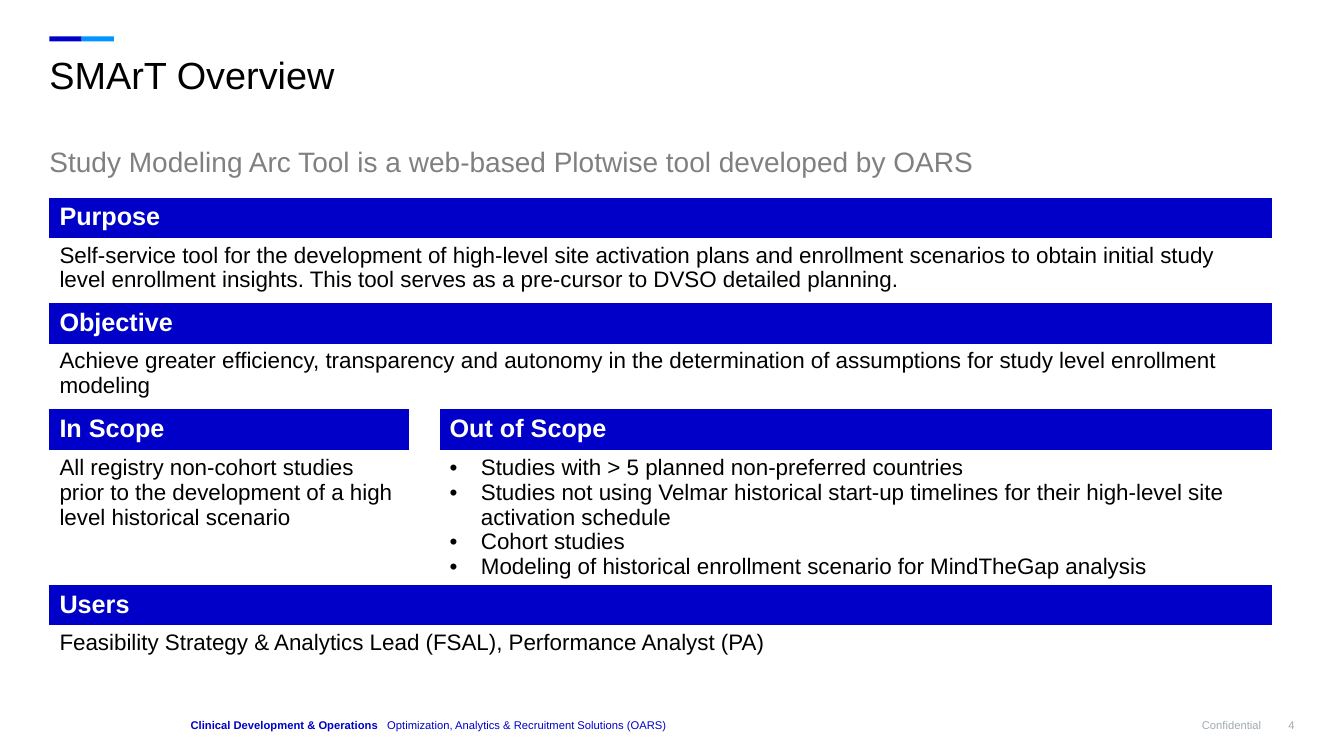
from lxml import etree
from pptx import Presentation
from pptx import util as u
from pptx.dml.color import RGBColor
from pptx.enum import shapes, text
from pptx.oxml import ns

PX = 9144  # EMU per px, 100 px to the inch
FONT = "Arial"
BLUE, SKY, WHITE, BLACK = "0000C9", "0095FF", "FFFFFF", "000000"
GREY, PALE = "808080", "A1AAB1"
NO_STYLE = "{2D5ABB26-0587-4C30-8999-92F81FD0307C}"

COLUMNS = [357, 30, 826]
HEADER_HEIGHT = 40
# Each section: body height, then {column: (heading, paragraphs)}
SECTIONS = [
    (65, {0: ("Purpose", [
        "Self-service tool for the development of high-level site activation "
        "plans and enrollment scenarios to obtain initial study level "
        "enrollment insights. This tool serves as a pre-cursor to DVSO "
        "detailed planning."])}),
    (65, {0: ("Objective", [
        "Achieve greater efficiency, transparency and autonomy in the "
        "determination of assumptions for study level enrollment modeling"])}),
    (134, {0: ("In Scope", [
        "All registry non-cohort studies prior to the development of a high "
        "level historical scenario"]),
        2: ("Out of Scope", [
            "Studies with > 5 planned non-preferred countries",
            "Studies not using Velmar historical start-up timelines for their "
            "high-level site activation schedule",
            "Cohort studies",
            "Modeling of historical enrollment scenario for MindTheGap analysis"])}),
    (51, {0: ("Users", [
        "Feasibility Strategy & Analytics Lead (FSAL), Performance Analyst (PA)"])}),
]


def px(*lengths):
    return [u.Emu(length * PX) for length in lengths]


def paint(target, color):
    """Colour a fill or a font from a hex string."""
    if hasattr(target, "solid"):
        target.solid()
        target.fore_color.rgb = RGBColor.from_string(color)
    else:
        target.color.rgb = RGBColor.from_string(color)


def add_mark(paragraph, tag, **attributes):
    properties = paragraph._p.get_or_add_pPr()
    return etree.SubElement(properties, ns.qn(tag), **attributes)


def set_indent(paragraph, margin, first_line):
    properties = paragraph._p.get_or_add_pPr()
    properties.set("marL", str(margin * PX))
    properties.set("indent", str(first_line * PX))


def write(paragraph, wording, size, color, bold=False, align=None, spacing=None):
    run = paragraph.add_run()
    run.text = wording
    run.font.name, run.font.size, run.font.bold = FONT, u.Pt(size), bold
    paint(run.font, color)
    if align is not None:
        paragraph.alignment = align
    if spacing:
        paragraph.line_spacing = spacing


def set_frame(frame, margin, anchor):
    frame.word_wrap = True
    frame.auto_size = text.MSO_AUTO_SIZE.NONE
    frame.vertical_anchor = anchor
    frame.margin_left = frame.margin_right = 0
    frame.margin_top = frame.margin_bottom = u.Emu(margin * PX)


def fill_placeholder(holder, box, wording, size, color):
    holder.left, holder.top, holder.width, holder.height = px(*box)
    set_frame(holder.text_frame, 5, text.MSO_ANCHOR.TOP)
    paragraph = holder.text_frame.paragraphs[0]
    set_indent(paragraph, 0, 0)
    add_mark(paragraph, "a:buNone")
    paragraph.space_before = u.Pt(0)
    write(paragraph, wording, size, color, align=text.PP_ALIGN.LEFT, spacing=0.85)


def draw_accent(slide, left, top, width, height):
    half = width // 2
    for index, color in enumerate((BLUE, SKY)):
        bar = slide.shapes.add_shape(shapes.MSO_SHAPE.RECTANGLE,
                                     *px(left + index * half, top, half, height))
        bar.shadow.inherit = False
        paint(bar.fill, color)
        bar.line.fill.background()


def footer_paragraph(slide, *box):
    frame = slide.shapes.add_textbox(*px(*box)).text_frame
    set_frame(frame, 0, text.MSO_ANCHOR.BOTTOM)
    return frame.paragraphs[0]


def draw_footer(slide, left, top, width, height):
    # Department and team, kept apart by a tab stop
    department = footer_paragraph(slide, left, top, 491, height)
    tabs = add_mark(department, "a:tabLst")
    etree.SubElement(tabs, ns.qn("a:tab"), pos=str(195 * PX), algn="l")
    write(department, "Clinical Development & Operations\t", 8, BLUE,
          bold=True, spacing=0.9)
    write(department, "Optimization, Analytics & Recruitment Solutions (OARS)", 8, BLUE)
    # Confidentiality and page number
    right = left + width
    for wording, end, span in (("Confidential", right - 33, 585), ("4", right, 30)):
        write(footer_paragraph(slide, end - span, top, span, height), wording, 8,
              PALE, align=text.PP_ALIGN.RIGHT, spacing=0.9)


def write_body(cell, paragraphs):
    frame = cell.text_frame
    for index, wording in enumerate(paragraphs):
        paragraph = frame.add_paragraph() if index else frame.paragraphs[0]
        if len(paragraphs) > 1:
            set_indent(paragraph, 31, -31)
            add_mark(paragraph, "a:buFont", typeface=FONT)
            add_mark(paragraph, "a:buChar", char="•")
        write(paragraph, wording, 16, BLACK)


def draw_sections(slide, left, top):
    heights = [h for body, _ in SECTIONS for h in (HEADER_HEIGHT, body)]
    frame = slide.shapes.add_table(len(heights), len(COLUMNS),
                                   *px(left, top, sum(COLUMNS), sum(heights)))
    table = frame.table
    table.first_row = table.horz_banding = False
    table._tbl.tblPr.find(ns.qn("a:tableStyleId")).text = NO_STYLE
    for column, width in zip(table.columns, COLUMNS):
        column.width = u.Emu(width * PX)
    for row, height in zip(table.rows, heights):
        row.height = u.Emu(height * PX)
    for cell in table.iter_cells():
        cell.fill.background()

    for index, (_, parts) in enumerate(SECTIONS):
        header, body = 2 * index, 2 * index + 1
        if len(parts) == 1:
            for row in (header, body):
                table.cell(row, 0).merge(table.cell(row, len(COLUMNS) - 1))
        for column, (heading, paragraphs) in parts.items():
            header_cell = table.cell(header, column)
            paint(header_cell.fill, BLUE)
            write(header_cell.text_frame.paragraphs[0], heading, 18, WHITE, bold=True)
            write_body(table.cell(body, column), paragraphs)


def build_overview(deck):
    slide = deck.slides.add_slide(deck.slide_layouts[1])
    draw_accent(slide, 49, 36, 64, 5)
    fill_placeholder(slide.shapes.title, (49, 53, 1235, 93),
                     "SMArT Overview", 27, BLACK)
    fill_placeholder(slide.placeholders[1], (49, 143, 1235, 43),
                     "Study Modeling Arc Tool is a web-based Plotwise tool "
                     "developed by OARS", 20, GREY)
    draw_sections(slide, 49, 196)
    draw_footer(slide, 189, 689, 1095, 37)


def main():
    deck = Presentation()
    deck.slide_width, deck.slide_height = px(1333, 750)
    build_overview(deck)
    deck.save("out.pptx")


if __name__ == "__main__":
    main()
